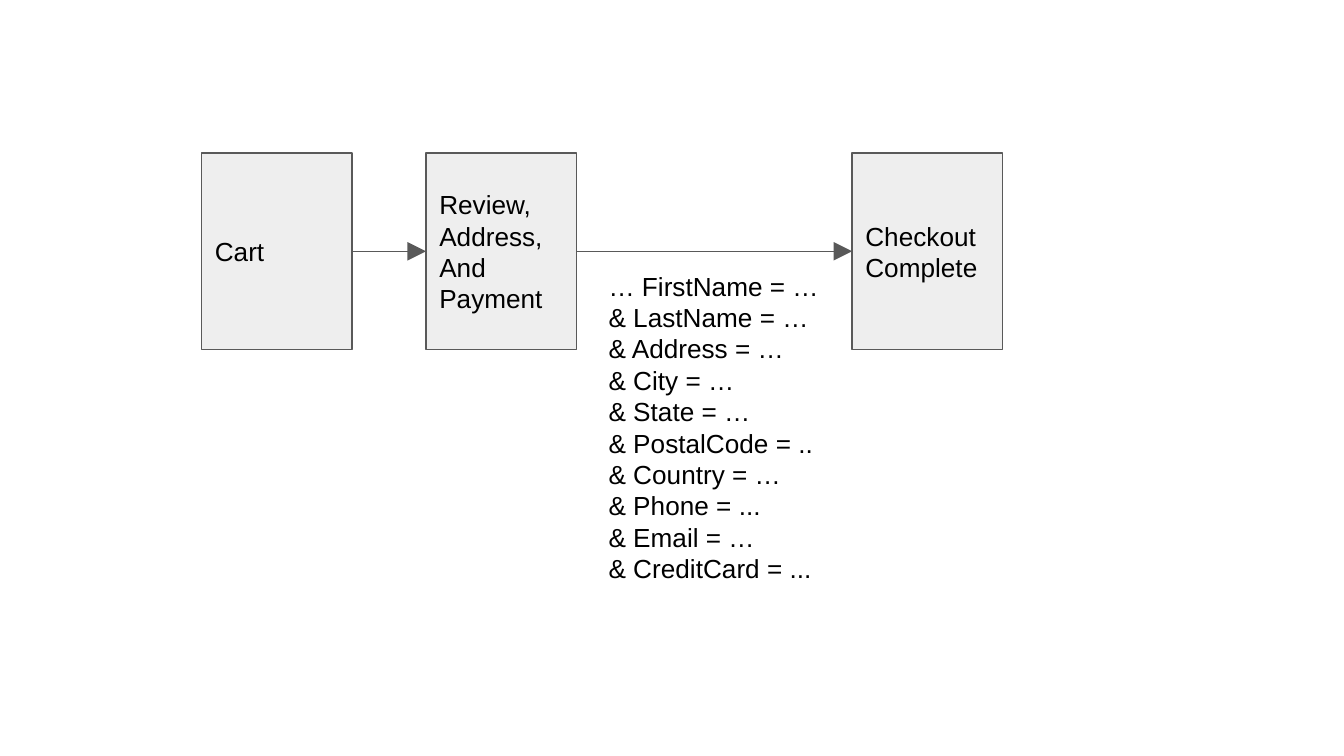
"""Build a checkout flow slide with three pages and the posted form fields."""
import pptx
import pptx.util
import pptx.dml.color
import pptx.enum.shapes
import pptx.enum.text
import pptx.oxml.ns
import lxml.etree

Inches = pptx.util.Inches
RGB = pptx.dml.color.RGBColor.from_string
COLORS = {"fill": "EEEEEE", "line": "595959", "text": "000000"}


def write_text(sp, text, size=14, font="Arial", color="text", anchor="TOP"):
    tf = sp.text_frame
    tf.word_wrap = True
    tf.vertical_anchor = getattr(pptx.enum.text.MSO_ANCHOR, anchor)
    tf.margin_left = tf.margin_right = tf.margin_top = tf.margin_bottom = Inches(0.1)
    tf.text = text
    for p in tf.paragraphs:
        p.alignment = pptx.enum.text.PP_ALIGN.LEFT
        for r in p.runs:
            r.font.size = pptx.util.Pt(size)
            r.font.name = font
            r.font.color.rgb = RGB(COLORS[color])


prs = pptx.Presentation()
prs.slide_width = Inches(10)
prs.slide_height = prs.slide_width * 9 // 16
s = prs.slides.add_slide(prs.slide_layouts[6])

top, width, height = 1.14, 1.12, 1.46
pages = [(1.5, "Cart"), (3.17, "Review, Address, And Payment"), (6.34, "Checkout Complete")]
boxes = []
for left, label in pages:
    sp = s.shapes.add_shape(pptx.enum.shapes.MSO_SHAPE.RECTANGLE,
                            Inches(left), Inches(top), Inches(width), Inches(height))
    sp.shadow.inherit = False
    sp.fill.solid()
    sp.fill.fore_color.rgb = RGB(COLORS["fill"])
    sp.line.color.rgb = RGB(COLORS["line"])
    sp.line.width = pptx.util.Pt(0.75)
    write_text(sp, label, anchor="MIDDLE")
    boxes.append(sp)

for source, target in zip(boxes, boxes[1:]):
    arrow = s.shapes.add_connector(pptx.enum.shapes.MSO_CONNECTOR.STRAIGHT, 0, 0, 0, 0)
    arrow.begin_connect(source, 3)
    arrow.end_connect(target, 1)
    arrow.line.color.rgb = RGB(COLORS["line"])
    arrow.line.width = pptx.util.Pt(0.75)
    lxml.etree.SubElement(arrow.line._get_or_add_ln(), pptx.oxml.ns.qn("a:tailEnd"),
                          type="triangle", w="lg", len="lg")
    lxml.etree.SubElement(arrow._element.spPr, pptx.oxml.ns.qn("a:effectLst"))

fields = ["… FirstName = …", "LastName = …", "Address = …", "City = …", "State = …",
          "PostalCode = ..", "Country = …", "Phone = ...", "Email = …", "CreditCard = ..."]
form = s.shapes.add_textbox(Inches(4.43), Inches(1.91), Inches(1.77), Inches(2.57))
write_text(form, "\n& ".join(fields))

prs.save("out.pptx")
